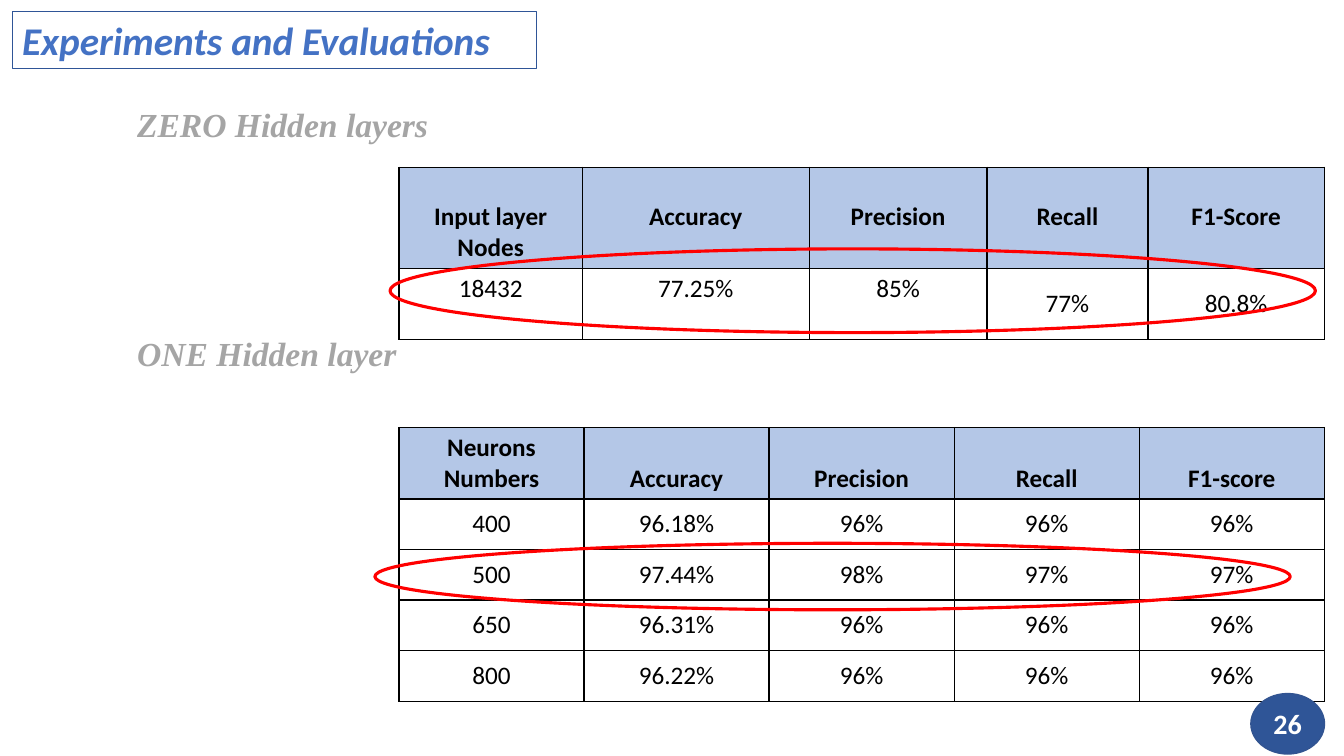
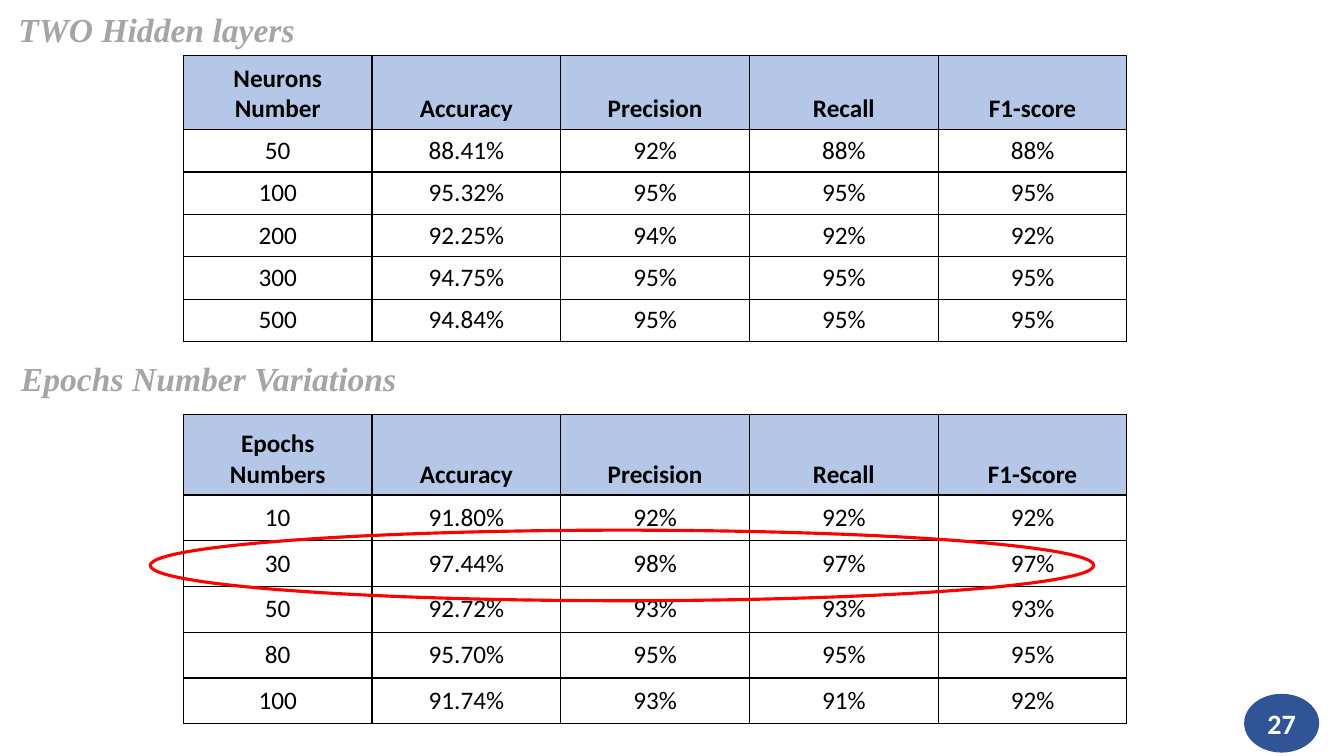
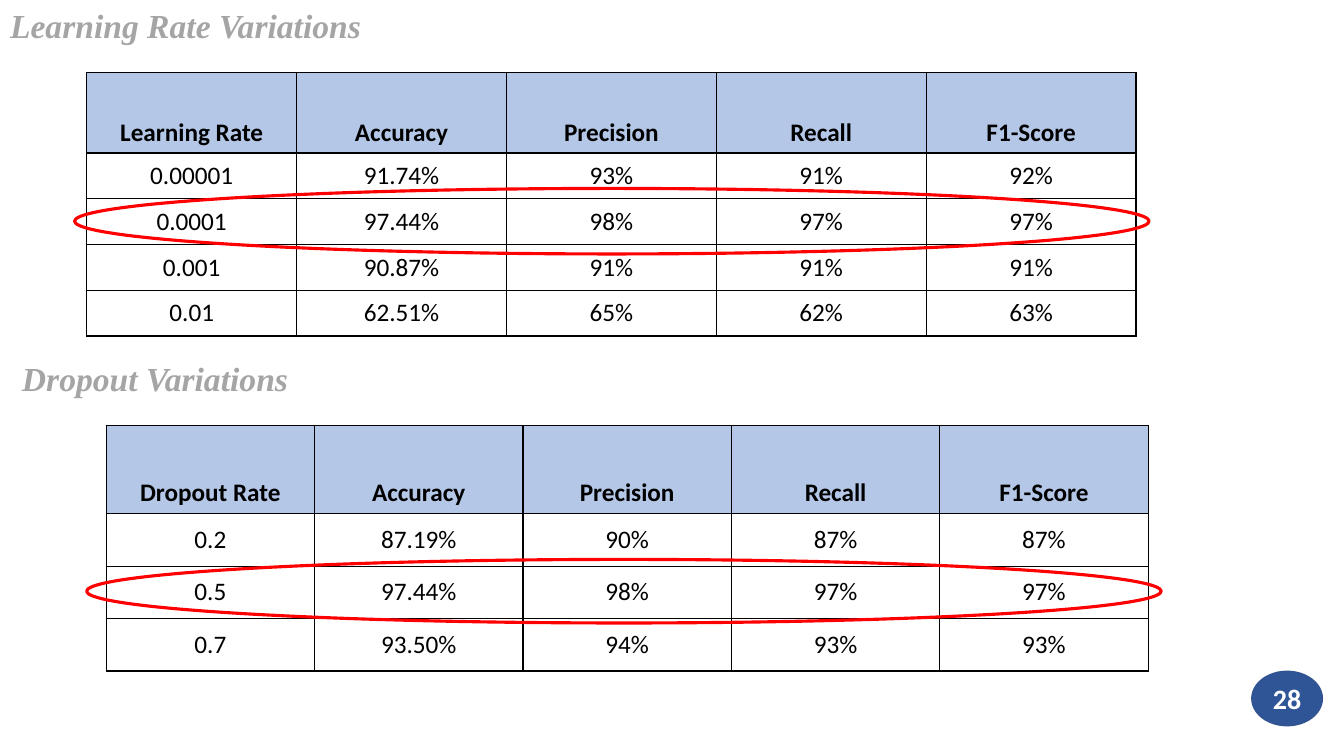
"""Build three slides of tables that compare network settings."""
from dataclasses import dataclass
from typing import Any, NamedTuple

from lxml.etree import SubElement
from pptx import Presentation
from pptx.dml.color import RGBColor
from pptx.enum.shapes import MSO_SHAPE as Shape
from pptx.enum.text import MSO_ANCHOR as Anchor, MSO_AUTO_SIZE as AutoSize, PP_ALIGN as Align
from pptx.oxml.ns import qn
from pptx.util import Pt


@dataclass(frozen=True)
class Theme:
    title: str = "4472C4"
    title_border: str = "2F5597"
    heading: str = "A5A5A5"
    header_fill: str = "B4C7E7"
    cell_fill: str = "FFFFFF"
    ink: str = "000000"
    ring: str = "FF0000"
    badge: str = "2F5597"
    badge_border: str = "325491"
    badge_ink: str = "FFFFFF"
    sans: str = "Calibri"
    serif: str = "Times New Roman"
    title_size: float = 28
    heading_size: float = 24
    cell_size: float = 18
    badge_size: float = 20
    title_line: float = 0.75
    grid_line: float = 1
    ring_line: float = 2.25
    badge_line: float = 1
    inset: float = 3.6


class Box(NamedTuple):
    left: float
    top: float
    width: float
    height: float

    def points(self) -> list[Pt]:
        return [Pt(length) for length in self]


class Heading(NamedTuple):
    text: str
    box: Box
    indent: float = 0
    is_title: bool = False


@dataclass(frozen=True)
class Results:
    left: float
    top: float
    columns: list[float]
    header_height: float
    row_height: float
    setting: str
    rows: list[str]
    f1_label: str = "F1-Score"
    raised_headers: tuple[int, ...] = ()
    raised_values: tuple[int, ...] = ()


@dataclass(frozen=True)
class Page:
    headings: list[Heading]
    results: list[Results]
    rings: list[Box]
    badge: Box
    has_deck_title: bool = False


THEME = Theme()
DECK_TITLE = "Experiments and Evaluations"
DECK_TITLE_BOX = Box(8.6, 7.9, 374.4, 41)
FIRST_NUMBER = 26
RAISE = 22

TITLE_FONT = dict(name=THEME.sans, size=Pt(THEME.title_size), bold=True, italic=True)
HEADING_FONT = dict(name=THEME.serif, size=Pt(THEME.heading_size), bold=True, italic=True)
HEADER_FONT = dict(name=THEME.sans, size=Pt(THEME.cell_size), bold=True)
VALUE_FONT = HEADER_FONT | dict(bold=False)
BADGE_FONT = dict(name=THEME.sans, size=Pt(THEME.badge_size), bold=True)
FRAME = dict(word_wrap=True, auto_size=AutoSize.NONE, vertical_anchor=Anchor.TOP)

PAGES = [
    Page(
        has_deck_title=True,
        headings=[
            Heading("ZERO Hidden layers", Box(72.7, 70.6, 336, 36), indent=18),
            Heading("ONE Hidden layer", Box(72.7, 234, 336, 36), indent=18),
        ],
        results=[
            Results(285, 119.5, [131, 162, 127, 115, 126], 72, 50.6, "Input layer Nodes",
                    ["18432 77.25% 85% 77% 80.8%"],
                    raised_headers=(1, 2, 3, 4), raised_values=(0, 1, 2)),
            Results(285, 305.3, [132.2] * 5, 51, 36.1, "Neurons Numbers",
                    ["400 96.18% 96% 96% 96%",
                     "500 97.44% 98% 97% 97%",
                     "650 96.31% 96% 96% 96%",
                     "800 96.22% 96% 96% 96%"], f1_label="F1-score"),
        ],
        rings=[Box(278.6, 177.8, 661, 59.8), Box(267.8, 388.1, 653.8, 47.5)],
        badge=Box(893.5, 495.4, 52.6, 43.2),
    ),
    Page(
        headings=[
            Heading("TWO Hidden layers", Box(0, 2.9, 336, 36), indent=6, is_title=True),
            Heading("Epochs Number Variations", Box(7.9, 252, 353, 36)),
        ],
        results=[
            Results(131, 39.6, [134.8] * 5, 53, 30.3, "Neurons Number",
                    ["50 88.41% 92% 88% 88%",
                     "100 95.32% 95% 95% 95%",
                     "200 92.25% 94% 92% 92%",
                     "300 94.75% 95% 95% 95%",
                     "500 94.84% 95% 95% 95%"], f1_label="F1-score"),
            Results(131, 295.9, [134.8] * 5, 57.6, 32.7, "Epochs Numbers",
                    ["10 91.80% 92% 92% 92%",
                     "30 97.44% 98% 97% 97%",
                     "50 92.72% 93% 93% 93%",
                     "80 95.70% 95% 95% 95%",
                     "100 91.74% 93% 91% 92%"]),
        ],
        rings=[Box(107.3, 378.7, 674, 50.4)],
        badge=Box(889.2, 496.1, 52.6, 41),
    ),
    Page(
        headings=[
            Heading("Learning Rate Variations", Box(0, 0, 353, 36), is_title=True),
            Heading("Dropout Variations", Box(8.6, 252, 353, 36)),
        ],
        results=[
            Results(62, 51.7, [149.9] * 5, 57.6, 32.7, "Learning Rate",
                    ["0.00001 91.74% 93% 91% 92%",
                     "0.0001 97.44% 98% 97% 97%",
                     "0.001 90.87% 91% 91% 91%",
                     "0.01 62.51% 65% 62% 63%"]),
            Results(75.8, 303.9, [148.9] * 5, 63, 37.5, "Dropout Rate",
                    ["0.2 87.19% 90% 87% 87%",
                     "0.5 97.44% 98% 97% 97%",
                     "0.7 93.50% 94% 93% 93%"]),
        ],
        rings=[Box(61.9, 399.6, 767.5, 45.4), Box(53.3, 134.6, 767.5, 46.8)],
        badge=Box(894.2, 479.5, 50.4, 38.9),
    ),
]


def apply(target: Any, values: dict[str, Any]) -> None:
    for attribute, value in values.items():
        setattr(target, attribute, value)


def write(frame: Any, text: str, font: dict[str, Any], color: str, align: Align) -> None:
    paragraph = frame.paragraphs[0]
    paragraph.alignment = align
    run = paragraph.add_run()
    run.text = text
    apply(run.font, font)
    run.font.color.rgb = RGBColor.from_string(color)


def outline(shape: Any, color: str, width: float) -> None:
    shape.line.color.rgb = RGBColor.from_string(color)
    shape.line.width = Pt(width)


def place_title(slide: Any, box: Box) -> Any:
    title = slide.shapes.title
    apply(title, dict(zip(("left", "top", "width", "height"), box.points())))
    return title


def draw_deck_title(slide: Any) -> None:
    title = place_title(slide, DECK_TITLE_BOX)
    apply(title.text_frame, FRAME)
    outline(title, THEME.title_border, THEME.title_line)
    write(title.text_frame, DECK_TITLE, TITLE_FONT, THEME.title, Align.LEFT)


def draw_heading(slide: Any, heading: Heading) -> None:
    if heading.is_title:
        holder = place_title(slide, heading.box)
    else:
        holder = slide.shapes.add_textbox(*heading.box.points())
    apply(holder.text_frame, FRAME | dict(margin_left=Pt(7.2 + heading.indent)))
    write(holder.text_frame, heading.text, HEADING_FONT, THEME.heading, Align.LEFT)


def draw_borders(cell: Any) -> None:
    properties = cell._tc.get_or_add_tcPr()
    for side in ("a:lnL", "a:lnR", "a:lnT", "a:lnB"):
        border = SubElement(properties, qn(side), w=str(Pt(THEME.grid_line)))
        fill = SubElement(border, qn("a:solidFill"))
        SubElement(fill, qn("a:srgbClr"), val=THEME.ink)


def draw_cell(cell: Any, text: str, is_header: bool, is_raised: bool) -> None:
    draw_borders(cell)
    cell.fill.solid()
    cell.fill.fore_color.rgb = RGBColor.from_string(
        THEME.header_fill if is_header else THEME.cell_fill)
    apply(cell, dict(
        vertical_anchor=Anchor.BOTTOM if is_header else Anchor.MIDDLE,
        margin_top=Pt(THEME.inset),
        margin_bottom=Pt(THEME.inset + RAISE * is_raised),
    ))
    write(cell.text_frame, text, HEADER_FONT if is_header else VALUE_FONT,
          THEME.ink, Align.CENTER)


def draw_results(slide: Any, results: Results) -> None:
    header = [results.setting, "Accuracy", "Precision", "Recall", results.f1_label]
    lines = [header] + [row.split() for row in results.rows]
    heights = [results.header_height] + [results.row_height] * len(results.rows)
    box = Box(results.left, results.top, sum(results.columns), sum(heights))
    table = slide.shapes.add_table(len(lines), len(header), *box.points()).table
    apply(table, dict(first_row=False, horz_banding=False))
    for column, width in zip(table.columns, results.columns):
        column.width = Pt(width)
    for row_index, (row, height, line) in enumerate(zip(table.rows, heights, lines)):
        row.height = Pt(height)
        is_header = row_index == 0
        raised = results.raised_headers if is_header else results.raised_values
        for column_index, text in enumerate(line):
            draw_cell(table.cell(row_index, column_index), text, is_header,
                      column_index in raised)


def draw_ellipse(slide: Any, box: Box, color: str, width: float) -> Any:
    ellipse = slide.shapes.add_shape(Shape.OVAL, *box.points())
    ellipse.shadow.inherit = False
    outline(ellipse, color, width)
    return ellipse


def draw_ring(slide: Any, box: Box) -> None:
    draw_ellipse(slide, box, THEME.ring, THEME.ring_line).fill.background()


def draw_badge(slide: Any, box: Box, number: int) -> None:
    badge = draw_ellipse(slide, box, THEME.badge_border, THEME.badge_line)
    badge.fill.solid()
    badge.fill.fore_color.rgb = RGBColor.from_string(THEME.badge)
    apply(badge.text_frame, FRAME | dict(
        vertical_anchor=Anchor.MIDDLE, margin_left=0, margin_right=0,
        margin_top=0, margin_bottom=0))
    write(badge.text_frame, str(number), BADGE_FONT, THEME.badge_ink, Align.CENTER)


def draw_page(deck: Any, page: Page, number: int) -> None:
    slide = deck.slides.add_slide(deck.slide_layouts.get_by_name("Title Only"))
    if page.has_deck_title:
        draw_deck_title(slide)
    for heading in page.headings:
        draw_heading(slide, heading)
    for results in page.results:
        draw_results(slide, results)
    for ring in page.rings:
        draw_ring(slide, ring)
    draw_badge(slide, page.badge, number)


def main() -> None:
    deck = Presentation()
    apply(deck, dict(slide_width=Pt(960), slide_height=Pt(540)))
    for number, page in enumerate(PAGES, start=FIRST_NUMBER):
        draw_page(deck, page, number)
    deck.save("out.pptx")


if __name__ == "__main__":
    main()
